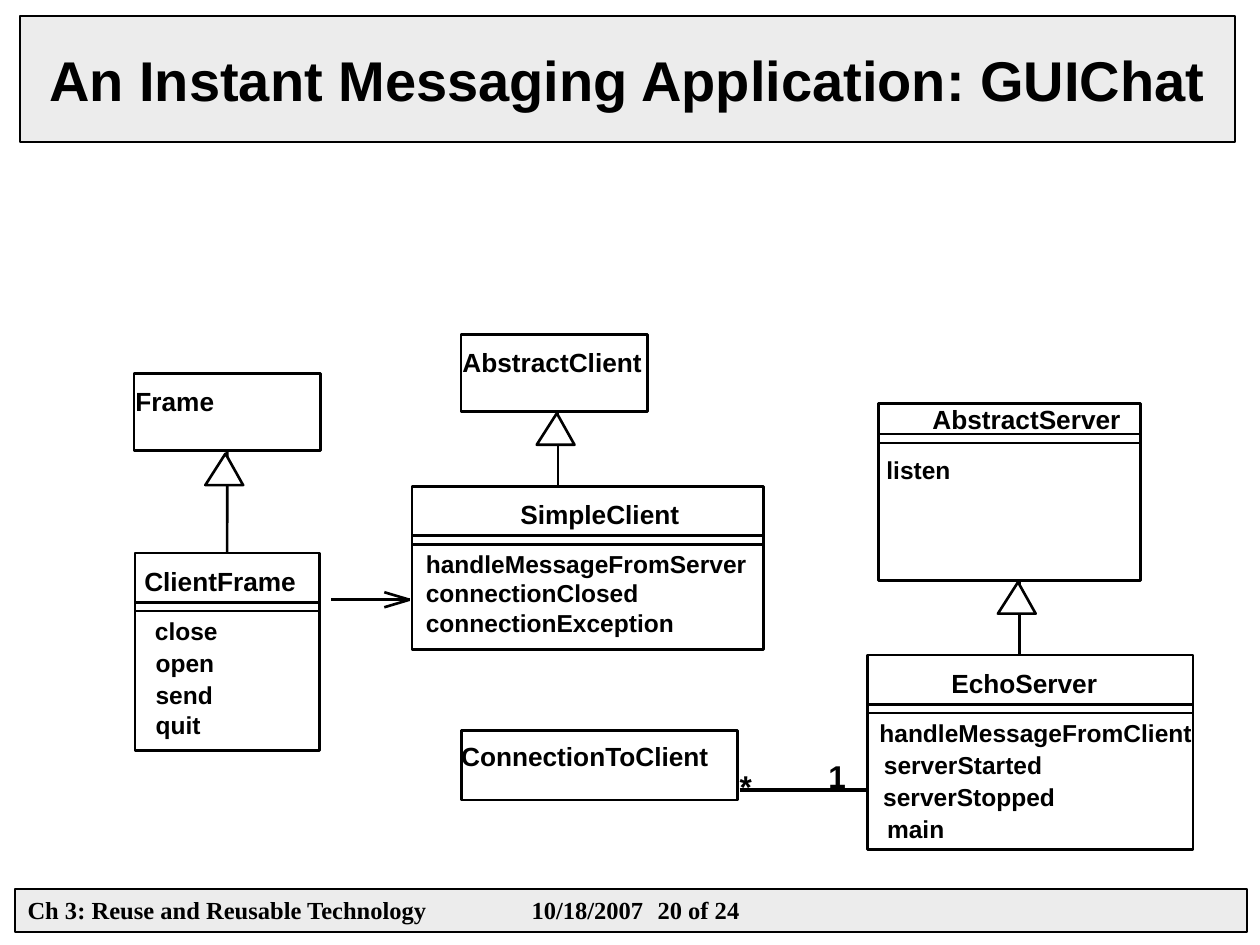
import pptx
import pptx.dml.color
import pptx.enum.shapes
import pptx.enum.text
import pptx.oxml
import pptx.oxml.ns
import pptx.util
import lxml.etree

COLORS = {"ink": "000000", "paper": "FFFFFF", "band": "C0C0C0"}
COLUMNS, ROWS = 100, 75
BAND_OPACITY = 29
ANCHOR = pptx.enum.text.MSO_ANCHOR
ALIGN = pptx.enum.text.PP_ALIGN
TOP, BOTTOM = 0, 2


def rgb(name):
    return pptx.dml.color.RGBColor.from_string(COLORS[name])


def add_child(parent, tag, **attributes):
    child = lxml.etree.SubElement(parent, pptx.oxml.ns.qn(tag))
    for key, value in attributes.items():
        child.set(key, str(value))
    return child


def write(frame, text, size=14, font="Arial", align=ALIGN.LEFT, anchor=ANCHOR.TOP,
          wrap=True, grow=True, insets=(0, 0, 0, 0), tabs=()):
    """Fill a text frame, one paragraph per line; insets and tabs are inches."""
    frame.word_wrap = wrap
    frame.vertical_anchor = anchor
    sizing = pptx.enum.text.MSO_AUTO_SIZE
    frame.auto_size = sizing.SHAPE_TO_FIT_TEXT if grow else sizing.NONE
    (frame.margin_left, frame.margin_top,
     frame.margin_right, frame.margin_bottom) = map(pptx.util.Inches, insets)
    frame.text = text
    for paragraph in frame.paragraphs:
        paragraph.alignment = align
        if tabs:
            stops = add_child(paragraph._p.get_or_add_pPr(), "a:tabLst")
            for stop in tabs:
                add_child(stops, "a:tab", pos=pptx.util.Inches(stop), algn="l")
        for run in paragraph.runs:
            run.font.size = pptx.util.Pt(size)
            run.font.name = font
            run.font.bold = True
            run.font.color.rgb = rgb("ink")


class ClassDiagram:
    def __init__(self, deck, stroke=1.5):
        self.column = deck.slide_width / COLUMNS
        self.row = deck.slide_height / ROWS
        self.stroke = stroke
        self.slide = deck.slides.add_slide(deck.slide_layouts[6])
        self.slide.background.fill.solid()
        self.slide.background.fill.fore_color.rgb = rgb("paper")

    def place(self, *cells):
        """Turn alternating columns and rows into lengths."""
        return [round(cell * (self.row if i % 2 else self.column))
                for i, cell in enumerate(cells)]

    def outline(self, shape, width=None):
        shape.line.color.rgb = rgb("ink")
        shape.line.width = pptx.util.Pt(width or self.stroke)

    def box(self, at, width=None):
        shape = self.slide.shapes.add_shape(
            pptx.enum.shapes.MSO_SHAPE.RECTANGLE, *self.place(*at))
        shape.shadow.inherit = False
        shape.fill.background()
        self.outline(shape, width)
        return shape

    def band(self, at, text, **style):
        """Translucent grey bar with text."""
        bar = self.box(at, width=1)
        bar.fill.solid()
        bar.fill.fore_color.rgb = rgb("band")
        tint = bar._element.spPr.find(".//" + pptx.oxml.ns.qn("a:srgbClr"))
        add_child(tint, "a:alpha", val=BAND_OPACITY * 1000)
        write(bar.text_frame, text, insets=(0.1, 0.05, 0.1, 0.05), **style)

    def label(self, at, text, **style):
        holder = self.slide.shapes.add_textbox(*self.place(*at))
        write(holder.text_frame, text, **style)

    def line(self, start, end, width=None):
        connector = self.slide.shapes.add_connector(
            pptx.enum.shapes.MSO_CONNECTOR.STRAIGHT, *self.place(*start, *end))
        self.outline(connector, width)
        add_child(connector._element.spPr, "a:effectLst")
        return connector

    def uml_class(self, at, name, name_at, divider=None, members=()):
        """Class box; divider is the row of the first of two rules, 0.7 apart."""
        left, _, width, _ = at
        frame = self.box(at)
        if divider:
            for row in (divider, divider + 0.7):
                self.line((left, row), (left + width, row))
        self.label((*name_at, 2.5), name, size=15, wrap=False)
        for *member_at, text in members:
            height = 2.35 * (text.count("\n") + 1)
            self.label((*member_at, height), text, wrap=False)
        return frame

    def inheritance_head(self, x, y):
        """Hollow triangle with its tip at x, y."""
        tip, right, left = (self.place(*point) for point in (
            (x, y), (x + 1.4, y + 2.5), (x - 1.6, y + 2.5)))
        builder = self.slide.shapes.build_freeform(*tip)
        builder.add_line_segments([right, left], close=True)
        head = builder.convert_to_shape()
        head.shadow.inherit = False
        head.fill.solid()
        head.fill.fore_color.rgb = rgb("paper")
        self.outline(head)

    def open_arrow(self, start, tip):
        self.line(start, tip)
        for rise in (-0.6, 0.6):
            self.line((tip[0] - 2, tip[1] + rise), tip)


def main():
    deck = pptx.Presentation()
    deck.slide_width = pptx.util.Inches(10)
    deck.slide_height = pptx.util.Inches(7.5)
    diagram = ClassDiagram(deck)

    diagram.band((1.2, 70.55, 97.8, 3.4),
                 "Ch 3: Reuse and Reusable Technology\t10/18/2007\t20 of 24",
                 font="Times New Roman", tabs=(4, 5))
    diagram.band((1.6, 1.3, 96.45, 10), "An Instant Messaging Application: GUIChat",
                 size=32, align=ALIGN.CENTER, anchor=ANCHOR.MIDDLE, grow=False)

    frame = diagram.uml_class((10.65, 29.65, 14.8, 6.1), "Frame", (10.75, 30.6, 6.6))
    client_frame = diagram.uml_class(
        (10.7, 43.9, 14.65, 15.65), "ClientFrame", (11.45, 44.85, 12.5), 47.8,
        [(12.3, 48.9, 5.3, "close"), (12.35, 51.4, 5, "open"),
         (12.35, 54, 5, "send\nquit")])
    diagram.uml_class((36.6, 26.55, 14.8, 6.1), "AbstractClient", (36.7, 27.5, 14.7))
    diagram.uml_class(
        (32.7, 38.6, 27.9, 12.95), "SimpleClient", (41.3, 39.55, 13.1), 42.5,
        [(33.8, 43.55, 26,
          "handleMessageFromServer\nconnectionClosed\nconnectionException")])
    diagram.uml_class((69.7, 32, 20.8, 14.1), "AbstractServer", (74, 32, 15.4), 34.45,
                      [(70.35, 36.1, 5.5, "listen")])
    diagram.uml_class(
        (68.85, 52, 25.85, 15.45), "EchoServer", (75.5, 52.95, 12.1), 55.9,
        [(69.8, 57, 25.3, "handleMessageFromClient"),
         (70.15, 59.5, 13.1, "serverStarted"),
         (70.1, 62.05, 14.2, "serverStopped"), (70.4, 64.6, 5, "main")])
    diagram.uml_class((36.65, 58, 21.9, 5.5), "ConnectionToClient", (36.6, 58.75, 20.3))

    frame_link = diagram.line((18, 43.9), (18, 35.7))
    frame_link.begin_connect(client_frame, TOP)
    frame_link.end_connect(frame, BOTTOM)
    diagram.line((44.3, 38.5), (44.3, 32.8))
    diagram.line((80.9, 51.9), (80.9, 46.2))
    for tip in ((17.9, 36), (44.2, 32.8), (80.8, 46.2)):
        diagram.inheritance_head(*tip)

    diagram.open_arrow((26.3, 47.6), (32.5, 47.6))

    diagram.line((58.7, 62.7), (68.9, 62.7), width=2.25)
    for multiplicity, at in (("1", (65.75, 59.55, 3.2, 3.5)),
                             ("*", (58.7, 60.35, 3.9, 3.5))):
        diagram.label(at, multiplicity, size=18, insets=(0, 0.05, 0, 0))

    deck.save("out.pptx")


if __name__ == "__main__":
    main()
